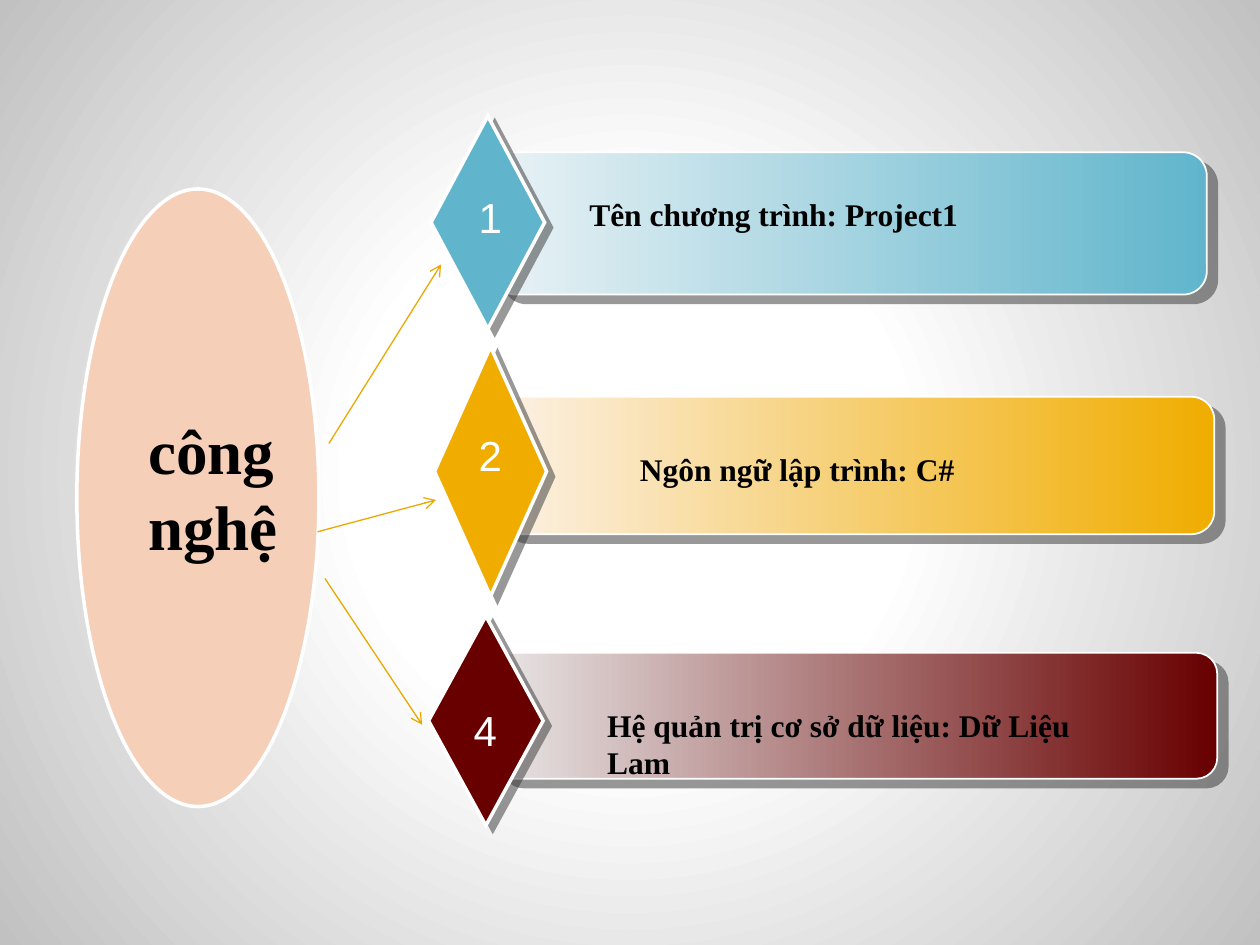
import pptx
import pptx.dml.color
import pptx.enum.shapes
import pptx.enum.text
import pptx.oxml
import pptx.oxml.ns
import pptx.util

Cm, Pt = pptx.util.Cm, pptx.util.Pt
MSO_SHAPE = pptx.enum.shapes.MSO_SHAPE
PP_ALIGN = pptx.enum.text.PP_ALIGN
NS = pptx.oxml.ns.nsdecls("a")


def rgb(value):
    return pptx.dml.color.RGBColor.from_string(value)


def set_gradient(fill, stops):
    fill.gradient()
    for stop, (position, color) in zip(fill.gradient_stops, stops):
        stop.position = position
        stop.color.rgb = rgb(color)


class Deck:
    """Holds the style and the current slide."""

    SERIF, SANS = "Times New Roman", "Arial"
    WHITE, BLACK, SHADOW = "FFFFFF", "000000", "333333"
    OVAL, ARROW = "F6CFB9", "EBA900"

    def __init__(self, prs):
        self.s = prs.slides.add_slide(prs.slide_layouts[6])

    def background(self, inner, outer):
        set_gradient(self.s.background.fill, [(0.35, inner), (1, outer)])
        grad = self.s.element.find(".//" + pptx.oxml.ns.qn("a:gradFill"))
        grad.remove(grad.find(pptx.oxml.ns.qn("a:lin")))
        grad.append(pptx.oxml.parse_xml(
            f'<a:path {NS} path="circle"><a:fillToRect l="50000" t="50000" '
            'r="50000" b="50000"/></a:path>'))

    def shape(self, kind, box, fill, line_width, shadow=None):
        """fill is one colour or a (left, right) pair; shadow is (points, degrees)."""
        sp = self.s.shapes.add_shape(kind, *map(Cm, box))
        sp.shadow.inherit = False
        if isinstance(fill, tuple):
            set_gradient(sp.fill, zip((0, 1), fill))
            sp.fill.gradient_angle = 0
        else:
            sp.fill.solid()
            sp.fill.fore_color.rgb = rgb(fill)
        sp.line.color.rgb = rgb(self.WHITE)
        sp.line.width = Pt(line_width)
        sp.line._get_or_add_ln().append(
            pptx.oxml.parse_xml(f'<a:miter {NS} lim="800000"/>'))
        if shadow:
            distance, angle = shadow
            effects = sp._element.spPr.find(pptx.oxml.ns.qn("a:effectLst"))
            effects.append(pptx.oxml.parse_xml(
                f'<a:outerShdw {NS} dist="{Pt(distance)}" dir="{angle * 60000}" '
                f'algn="ctr" rotWithShape="0"><a:srgbClr val="{self.SHADOW}">'
                '<a:alpha val="50000"/></a:srgbClr></a:outerShdw>'))
        return sp

    def text(self, box, text, size, font=SERIF, color=BLACK, bold=True,
             align=None, wrap=True):
        tf = self.s.shapes.add_textbox(*map(Cm, box)).text_frame
        tf.text = text
        tf.word_wrap = wrap
        tf.auto_size = pptx.enum.text.MSO_AUTO_SIZE.SHAPE_TO_FIT_TEXT
        p = tf.paragraphs[0]
        p.alignment = align
        r = p.runs[0]
        r.font.name, r.font.size, r.font.bold = font, Pt(size), bold
        r.font.color.rgb = rgb(color)

    def arrow(self, x1, y1, x2, y2):
        line = self.s.shapes.add_connector(
            pptx.enum.shapes.MSO_CONNECTOR.STRAIGHT, *map(Cm, (x1, y1, x2, y2)))
        line.line.color.rgb = rgb(self.ARROW)
        line.line.width = Pt(0.75)
        line.line._get_or_add_ln().append(
            pptx.oxml.parse_xml(f'<a:tailEnd {NS} type="arrow"/>'))
        line._element.spPr.append(pptx.oxml.parse_xml(f"<a:effectLst {NS}/>"))

    def item(self, number, label, light, dark, bar, diamond, number_box, label_box):
        self.shape(MSO_SHAPE.ROUNDED_RECTANGLE, bar, (light, dark), 1, (7.8, 40))
        self.shape(MSO_SHAPE.DIAMOND, diamond, dark, 2, (5, 37))
        self.text(number_box, number, 24, self.SANS, self.WHITE, False,
                  PP_ALIGN.CENTER, wrap=False)
        self.text(label_box, label, 18)


# number, label, light, dark, bar, diamond, number box, label box
ITEMS = [
    ("1", "Tên chương trình: Project1", "E9F2F5", "60B5CC",
     (9.93, 3.07, 14.4, 2.87), (8.69, 2.34, 2.29, 4.29),
     (9.3, 3.73, 1.17, 2.87), (11.63, 3.81, 10.16, 1.8)),
    ("2", "Ngôn ngữ lập trình: C#", "FCF1E6", "F0AD00",
     (9.98, 8, 14.5, 2.77), (8.76, 6.99, 2.26, 5.03),
     (9.3, 8.53, 1.17, 3.35), (12.65, 8.94, 11.33, 1.8)),
    ("4", "Hệ quản trị cơ sở dữ liệu: Dữ Liệu Lam", "E9E6E6", "680000",
     (9.93, 13.16, 14.61, 2.54), (8.64, 12.42, 2.31, 4.22),
     (9.19, 14.07, 1.19, 2.82), (11.99, 14.1, 11.05, 1.8)),
]
ARROWS = [
    (6.63, 8.94, 8.89, 5.33),
    (6.4, 10.72, 8.79, 10.08),
    (6.55, 11.66, 8.51, 14.61),
]


def main():
    prs = pptx.Presentation()
    prs.slide_width, prs.slide_height = Cm(25.4), Cm(19.05)
    deck = Deck(prs)
    deck.background("FFFFFF", "C1C1C1")

    # Topic oval
    deck.shape(MSO_SHAPE.OVAL, (1.55, 3.81, 4.88, 12.45), deck.OVAL, 2)
    deck.text((2.74, 8.18, 3.81, 3.33), "công nghệ", 36)

    # Numbered bars
    for item in ITEMS:
        deck.item(*item)

    # Arrows from the topic to the bars
    for ends in ARROWS:
        deck.arrow(*ends)

    prs.save("out.pptx")


if __name__ == "__main__":
    main()
